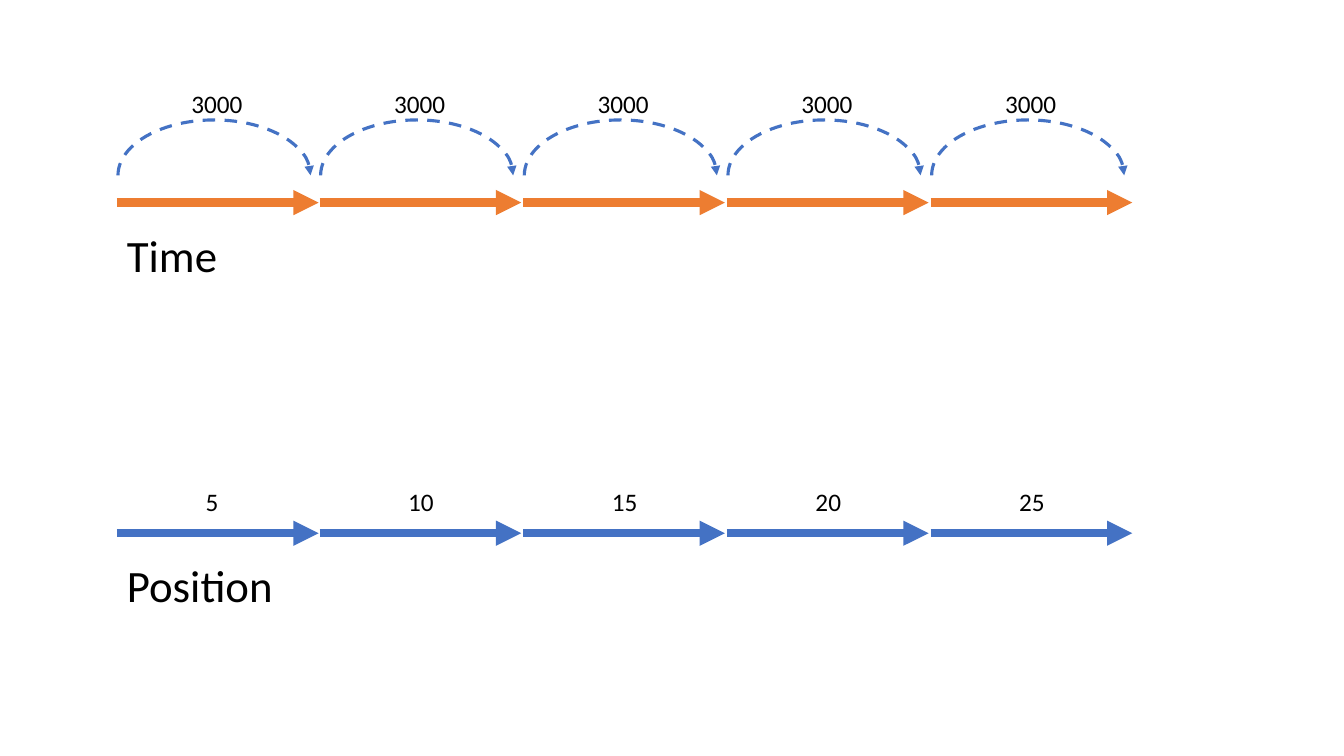
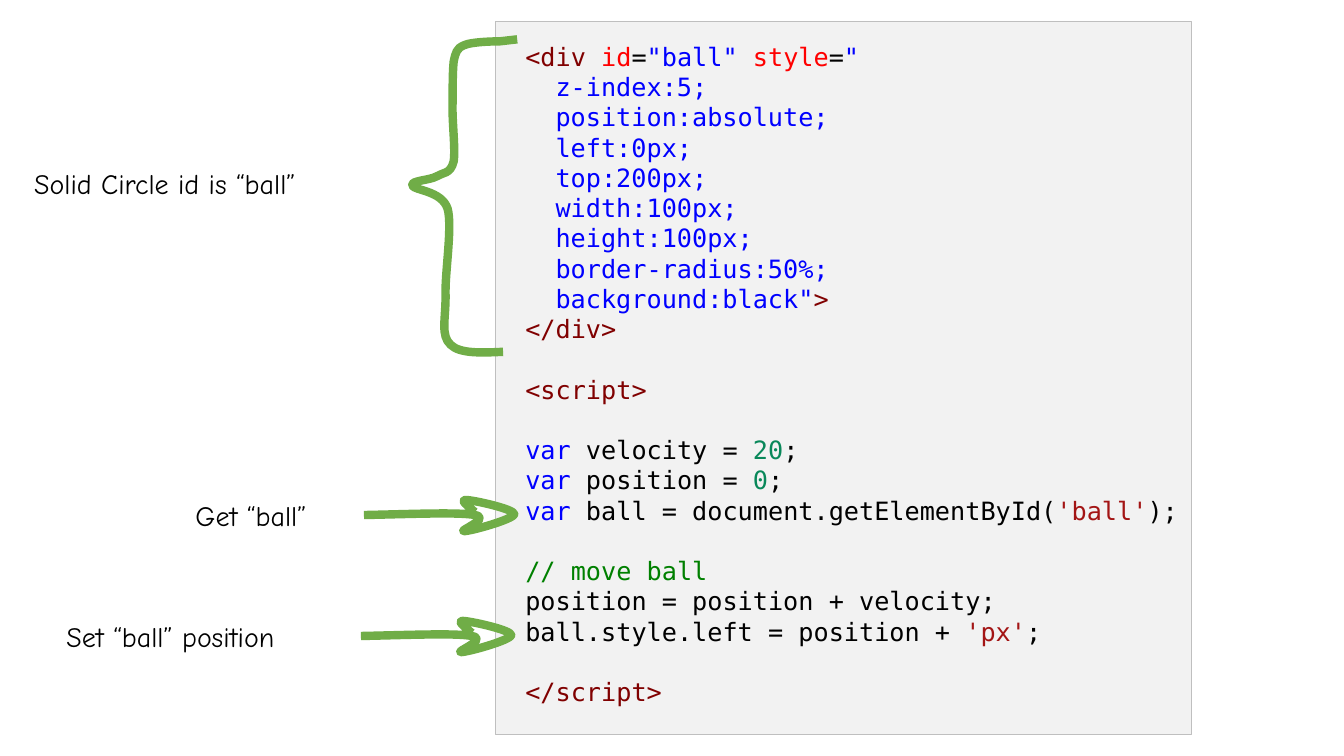
from dataclasses import dataclass
from typing import NamedTuple

from pptx import Presentation
from pptx import util as u
from pptx.dml.color import RGBColor
from pptx.dml.line import LineFormat
from pptx.enum import dml, shapes, text
from pptx.oxml import ns, xmlchemy
from pptx.shapes import shapetree as tree
from pptx.slide import Slide

PX = 9144
BODY_FONT, NOTE_FONT, CODE_FONT = "Calibri", "Comic Neue", "DejaVu Sans Mono"
BLACK, BLUE, ORANGE, GREEN = "000000", "4472C4", "ED7D31", "70AD47"
PANEL_FILL, PANEL_EDGE = "F2F2F2", "BFBFBF"
TAG, ATTRIBUTE, KEYWORD = "800000", "FF0000", "0000FF"
NUMBER, STRING, REMARK = "09885A", "A31515", "008000"
HEAVY = 6
CODE_PITCH = 21.6

Canvas = tree.SlideShapes | tree.GroupShapes
Point = tuple[int, int]


class Token(NamedTuple):
    wording: str
    color: str = BLACK


@dataclass(frozen=True)
class CodeLine:
    tokens: tuple[Token, ...]
    indent: int = 0
    gap_before: bool = False


@dataclass(frozen=True)
class Label:
    wording: str
    left: int
    top: int
    width: int
    height: int
    size: int
    font: str = BODY_FONT
    wraps: bool = False


@dataclass(frozen=True)
class Stroke:
    points: tuple[Point, ...]
    offset: Point = (0, 0)


def line_of(*tokens: tuple[str, str], indent: int = 0, gap: bool = False) -> CodeLine:
    return CodeLine(tuple(Token(*token) for token in tokens), indent, gap)


FIRST_LEFT, LAST_LEFT, STEP_LENGTH = 116, 923, 200
TIME_AXIS, POSITION_AXIS = 201, 529
POSITIONS = (5, 10, 15, 20, 25)
INTERVAL = "3000"
AXIS_TITLES = (
    Label("Position", 116, 548, 167, 64, 32),
    Label("Time", 116, 221, 111, 64, 32),
)

NOTES = (
    Label("Solid Circle id is “ball”", 24, 160, 401, 44, 20, NOTE_FONT, wraps=True),
    Label("Get “ball”", 184, 490, 178, 44, 20, NOTE_FONT, wraps=True),
    Label("Set “ball” position", 56, 610, 302, 44, 20, NOTE_FONT, wraps=True),
)
BRACE = (
    (499, 349), (478, 350), (456, 351), (447, 342),
    (437, 333), (442, 317), (442, 294), (441, 272), (449, 225), (444, 207),
    (438, 189), (411, 189), (409, 184), (407, 179), (426, 179), (433, 175),
    (439, 171), (447, 173), (450, 160), (452, 148), (448, 117), (449, 101),
    (449, 84), (449, 71), (450, 61), (452, 52), (453, 48), (460, 45),
    (468, 41), (496, 41), (496, 41), (513, 39),
)
POINTER = (
    (361, 511), (408, 510), (455, 508), (471, 511),
    (488, 514), (454, 527), (460, 527), (467, 527), (510, 515), (510, 510),
    (510, 505), (469, 496), (462, 496), (456, 496), (464, 502), (471, 508),
)
STROKES = (Stroke(BRACE), Stroke(POINTER), Stroke(POINTER, (-3, 120)))

BALL_STYLES = (
    "z-index:5;", "position:absolute;", "left:0px;", "top:200px;",
    "width:100px;", "height:100px;", "border-radius:50%;",
)
CODE = (
    line_of(("<div ", TAG), ("id", ATTRIBUTE), ("=", BLACK), ('"ball" ', KEYWORD),
            ("style", ATTRIBUTE), ("=", BLACK), ('"', KEYWORD)),
    *(line_of((style, KEYWORD), indent=30) for style in BALL_STYLES),
    line_of(('background:black"', KEYWORD), (">", TAG), indent=30),
    line_of(("</div>", TAG)),
    line_of(("<script>", TAG), gap=True),
    line_of(("var", KEYWORD), (" velocity = ", BLACK), ("20", NUMBER), (";", BLACK),
            gap=True),
    line_of(("var", KEYWORD), (" position = ", BLACK), ("0", NUMBER), (";", BLACK)),
    line_of(("var", KEYWORD), (" ball = document.getElementById(", BLACK),
            ("'ball'", STRING), (");", BLACK)),
    line_of(("// move ball", REMARK), gap=True),
    line_of(("position = position + velocity;", BLACK)),
    line_of(("ball.style.left = position + ", BLACK), ("'px'", STRING), (";", BLACK)),
    line_of(("</script>", TAG), gap=True),
)


def px(*lengths: int) -> list[u.Emu]:
    return [u.Emu(length * PX) for length in lengths]


def rgb(color: str) -> RGBColor:
    return RGBColor.from_string(color)


def style_line(line: LineFormat, color: str, points: float) -> None:
    line.color.rgb = rgb(color)
    line.width = u.Pt(points)


def add_arrowhead(properties: xmlchemy.BaseOxmlElement) -> None:
    outline = properties.find(ns.qn("a:ln"))
    outline.append(outline.makeelement(ns.qn("a:tailEnd"), {"type": "triangle"}))


def draw_label(canvas: Canvas, label: Label) -> None:
    box = canvas.add_textbox(*px(label.left, label.top, label.width, label.height))
    box.text_frame.word_wrap = label.wraps
    box.text_frame.auto_size = text.MSO_AUTO_SIZE.SHAPE_TO_FIT_TEXT
    paragraph = box.text_frame.paragraphs[0]
    paragraph.text = label.wording
    paragraph.font.name = label.font
    paragraph.font.size = u.Pt(label.size)
    paragraph.font.color.rgb = rgb(BLACK)


def draw_count(canvas: Canvas, wording: str, left: int, top: int) -> None:
    draw_label(canvas, Label(wording, left, top, 20 + 13 * len(wording), 40, 18))


def draw_arrow(canvas: Canvas, left: int, axis: int, color: str) -> None:
    arrow = canvas.add_connector(
        shapes.MSO_CONNECTOR.STRAIGHT, *px(left, axis, left + STEP_LENGTH, axis))
    style_line(arrow.line, color, HEAVY)
    properties = arrow.element.spPr
    add_arrowhead(properties)
    properties.append(properties.makeelement(ns.qn("a:effectLst"), {}))


def draw_hop(canvas: Canvas, left: int) -> None:
    hop = canvas.add_shape(shapes.MSO_SHAPE.ARC, *px(left, 119, 191, 110))
    hop.adjustments[0] = 107.98
    hop.adjustments[1] = 0
    hop.shadow.inherit = False
    hop.fill.background()
    style_line(hop.line, BLUE, 2.25)
    hop.line.dash_style = dml.MSO_LINE.DASH
    add_arrowhead(hop.element.spPr)


def draw_step(slide: Slide, index: int, position: int) -> None:
    left = FIRST_LEFT + (LAST_LEFT - FIRST_LEFT) * index // (len(POSITIONS) - 1)
    canvas = slide.shapes.add_group_shape().shapes
    draw_arrow(canvas, left, TIME_AXIS, ORANGE)
    draw_hop(canvas, left + 1)
    draw_count(canvas, INTERVAL, left + 64, 83)
    draw_arrow(canvas, left, POSITION_AXIS, BLUE)
    draw_count(canvas, str(position), left + 78, 478)


def bend_segments(outline: xmlchemy.BaseOxmlElement) -> None:
    segments = list(outline.iter(ns.qn("a:lnTo")))
    for first in range(0, len(segments) - 2, 3):
        curve = outline.makeelement(ns.qn("a:cubicBezTo"), {})
        segments[first].addprevious(curve)
        for segment in segments[first:first + 3]:
            curve.append(segment[0])
            segment.getparent().remove(segment)


def draw_stroke(canvas: Canvas, stroke: Stroke) -> None:
    dx, dy = stroke.offset
    start, *rest = [(x + dx, y + dy) for x, y in stroke.points]
    builder = canvas.build_freeform(*start, scale=PX)
    builder.add_line_segments(rest, close=False)
    marker = builder.convert_to_shape()
    bend_segments(marker.element)
    marker.shadow.inherit = False
    marker.fill.background()
    style_line(marker.line, GREEN, HEAVY)


def draw_code(canvas: Canvas) -> None:
    panel = canvas.add_shape(shapes.MSO_SHAPE.RECTANGLE, *px(491, 21, 691, 708))
    panel.shadow.inherit = False
    panel.fill.solid()
    panel.fill.fore_color.rgb = rgb(PANEL_FILL)
    style_line(panel.line, PANEL_EDGE, 0.75)
    frame = panel.text_frame
    frame.word_wrap = True
    frame.vertical_anchor = text.MSO_ANCHOR.TOP
    frame.margin_left, frame.margin_top, frame.margin_right, frame.margin_bottom = px(
        30, 20, 10, 20)
    for index, code_line in enumerate(CODE):
        paragraph = frame.add_paragraph() if index else frame.paragraphs[0]
        paragraph.alignment = text.PP_ALIGN.LEFT
        paragraph.line_spacing = u.Pt(CODE_PITCH)
        paragraph.space_before = u.Pt(CODE_PITCH if code_line.gap_before else 0)
        paragraph.font.name = CODE_FONT
        paragraph.font.size = u.Pt(18)
        if code_line.indent:
            paragraph._p.get_or_add_pPr().set("marL", str(code_line.indent * PX))
        for token in code_line.tokens:
            run = paragraph.add_run()
            run.text = token.wording
            run.font.color.rgb = rgb(token.color)


def build_motion_slide(slide: Slide) -> None:
    for title in AXIS_TITLES:
        draw_label(slide.shapes, title)
    for index, position in enumerate(POSITIONS):
        draw_step(slide, index, position)


def build_code_slide(slide: Slide) -> None:
    draw_code(slide.shapes)
    for stroke, note in zip(STROKES, NOTES):
        draw_stroke(slide.shapes, stroke)
        draw_label(slide.shapes, note)


def main() -> None:
    deck = Presentation()
    deck.slide_width, deck.slide_height = px(1333, 750)
    blank = deck.slide_layouts[6]
    for build in (build_motion_slide, build_code_slide):
        build(deck.slides.add_slide(blank))
    deck.save("out.pptx")


if __name__ == "__main__":
    main()
